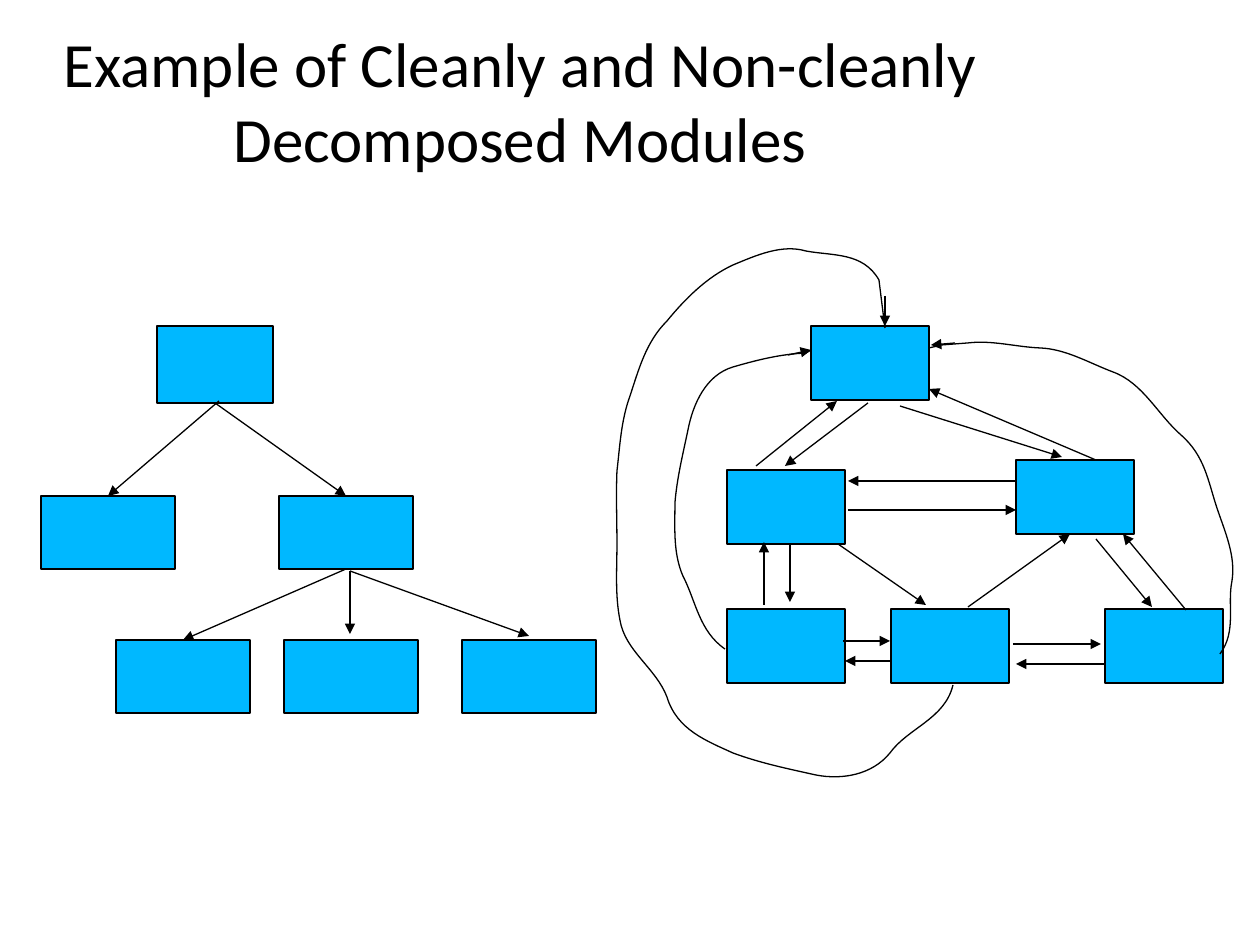
from math import dist

from lxml import etree
from pptx import Presentation
from pptx.dml.color import RGBColor
from pptx.enum.shapes import MSO_CONNECTOR, MSO_SHAPE
from pptx.enum.text import MSO_ANCHOR, PP_ALIGN
from pptx.oxml.ns import qn
from pptx.util import Emu, Pt

STRAIGHT = MSO_CONNECTOR.STRAIGHT
ROUNDED = MSO_SHAPE.ROUNDED_RECTANGLE
MIDDLE, CENTER = MSO_ANCHOR.MIDDLE, PP_ALIGN.CENTER
BLACK = RGBColor(0, 0, 0)
BLUE = RGBColor(0x00, 0xB8, 0xFF)
WIDE, HIGH = 1260, 945
NEAR = 3.5  # px within which an arrow is joined to a side's middle

TITLE = "Example of Cleanly and Non-cleanly Decomposed Modules"
TITLE_AT = (52, 21, 936, 158)

# Box size, then the left and top of each box
BOXES = [
    ((116, 77), [(157, 326)]),
    ((134, 73), [(41, 496), (279, 496),
                 (116, 640), (284, 640), (462, 640)]),
    ((118, 74), [(811, 326), (1016, 460), (1105, 609),
                 (891, 609), (727, 609), (727, 470)]),
]

# Each arrow: from x, y to x, y
CLEAN = [
    (219, 401, 110, 498), (217, 403, 348, 496),
    (345, 571, 180, 639), (350, 571, 350, 634), (350, 571, 529, 636),
]
TANGLED = [
    (868, 403, 785, 466), (790, 544, 790, 602), (848, 510, 1016, 510),
    (838, 544, 926, 605), (900, 406, 1062, 457), (1096, 539, 1152, 607),
    (968, 607, 1070, 534), (756, 466, 837, 401), (1016, 481, 848, 481),
    (1096, 460, 929, 389), (764, 605, 764, 542), (1186, 610, 1123, 534),
    (788, 355, 811, 350), (955, 343, 931, 345), (885, 296, 885, 326),
    (1013, 644, 1101, 644), (1104, 664, 1016, 664),
    (843, 641, 890, 641), (892, 661, 845, 661),
]

# Each loop: start, Bezier points in threes, straight points at the end
LOOPS = [
    ((725, 649),
     [(699, 631), (696, 601), (683, 576), (673, 553), (675, 528), (675, 503),
      (677, 478), (683, 454), (688, 430), (693, 404), (706, 375), (733, 367),
      (757, 360), (781, 354), (806, 353)],
     [(811, 350)]),
    ((1220, 654),
     [(1237, 631), (1227, 605), (1232, 581),
      (1236, 556), (1225, 532), (1217, 508),
      (1208, 481), (1205, 456), (1181, 435),
      (1158, 415), (1143, 383), (1113, 372),
      (1089, 363), (1066, 349), (1040, 348),
      (1016, 347), (992, 340), (968, 343)],
     [(942, 345), (929, 348)]),
    ((953, 685),
     [(945, 719), (908, 728), (890, 753), (872, 775), (842, 780), (816, 775),
      (789, 769), (760, 763), (733, 753), (707, 741), (677, 730), (667, 697),
      (656, 668), (625, 651), (620, 620), (615, 595), (617, 570), (617, 544),
      (617, 520), (616, 495), (617, 471), (620, 446), (621, 421), (630, 396),
      (639, 369), (646, 342), (667, 321), (685, 299), (707, 277), (733, 265),
      (757, 255), (782, 244), (806, 251), (833, 256), (863, 252), (879, 280)],
     [(882, 304), (885, 328)]),
]


def px(num):
    return Emu(round(num * 914400 / 126))


def emus(nums):
    return [px(num) for num in nums]


def ink(shape):
    shape.line.color.rgb = BLACK
    shape.line.width = Pt(0.75)


def add_title(slide):
    title = slide.shapes.title
    title.left, title.top, title.width, title.height = emus(TITLE_AT)
    frame = title.text_frame
    frame.word_wrap = True
    frame.vertical_anchor = MIDDLE
    frame.margin_left = frame.margin_right = 0
    frame.margin_top = frame.margin_bottom = 0
    para = frame.paragraphs[0]
    para.alignment = CENTER
    run = para.add_run()
    run.text = TITLE
    run.font.name = "Calibri"
    run.font.size = Pt(36)
    run.font.color.rgb = BLACK


def add_box(slide, left, top, wide, high):
    """Draw a box and return its joints: (point, box, site)."""
    box = slide.shapes.add_shape(ROUNDED, *emus((left, top, wide, high)))
    box.adjustments[0] = 0
    box.shadow.inherit = False
    box.fill.solid()
    box.fill.fore_color.rgb = BLUE
    ink(box)
    midx, midy = left + wide / 2, top + high / 2
    sides = [(midx, top), (left, midy), (midx, top + high), (left + wide, midy)]
    return [(side, box, site) for site, side in enumerate(sides)]


def add_arrow(slide, ends, joints):
    line = slide.shapes.add_connector(STRAIGHT, *emus(ends))
    ink(line)
    etree.SubElement(line.line._get_or_add_ln(), qn("a:tailEnd"),
                     type="triangle", w="med", len="med")
    etree.SubElement(line._element.spPr, qn("a:effectLst"))
    for end, join in ((ends[:2], line.begin_connect),
                      (ends[2:], line.end_connect)):
        for side, box, site in joints:
            if dist(end, side) < NEAR:
                join(box, site)


def add_loop(slide, start, curve, tail):
    """Draw a polyline, then merge each three curve points into a Bezier."""
    form = slide.shapes.build_freeform(*emus(start))
    form.add_line_segments([emus(point) for point in curve + tail], close=False)
    loop = form.convert_to_shape()
    loop.shadow.inherit = False
    loop.fill.background()
    ink(loop)
    steps = list(loop._element.iter(qn("a:lnTo")))[:len(curve)]
    for one, two, end in zip(steps[::3], steps[1::3], steps[2::3]):
        bend = etree.Element(qn("a:cubicBezTo"))
        one.addprevious(bend)
        for step in (one, two, end):
            bend.append(step[0])
            step.getparent().remove(step)


def main():
    deck = Presentation()
    deck.slide_width, deck.slide_height = px(WIDE), px(HIGH)
    slide = deck.slides.add_slide(deck.slide_layouts[5])
    add_title(slide)
    joints = []
    for size, spots in BOXES:
        for spot in spots:
            joints += add_box(slide, *spot, *size)
    for ends in CLEAN + TANGLED:
        add_arrow(slide, ends, joints)
    for loop in LOOPS:
        add_loop(slide, *loop)
    deck.save("out.pptx")


if __name__ == "__main__":
    main()
